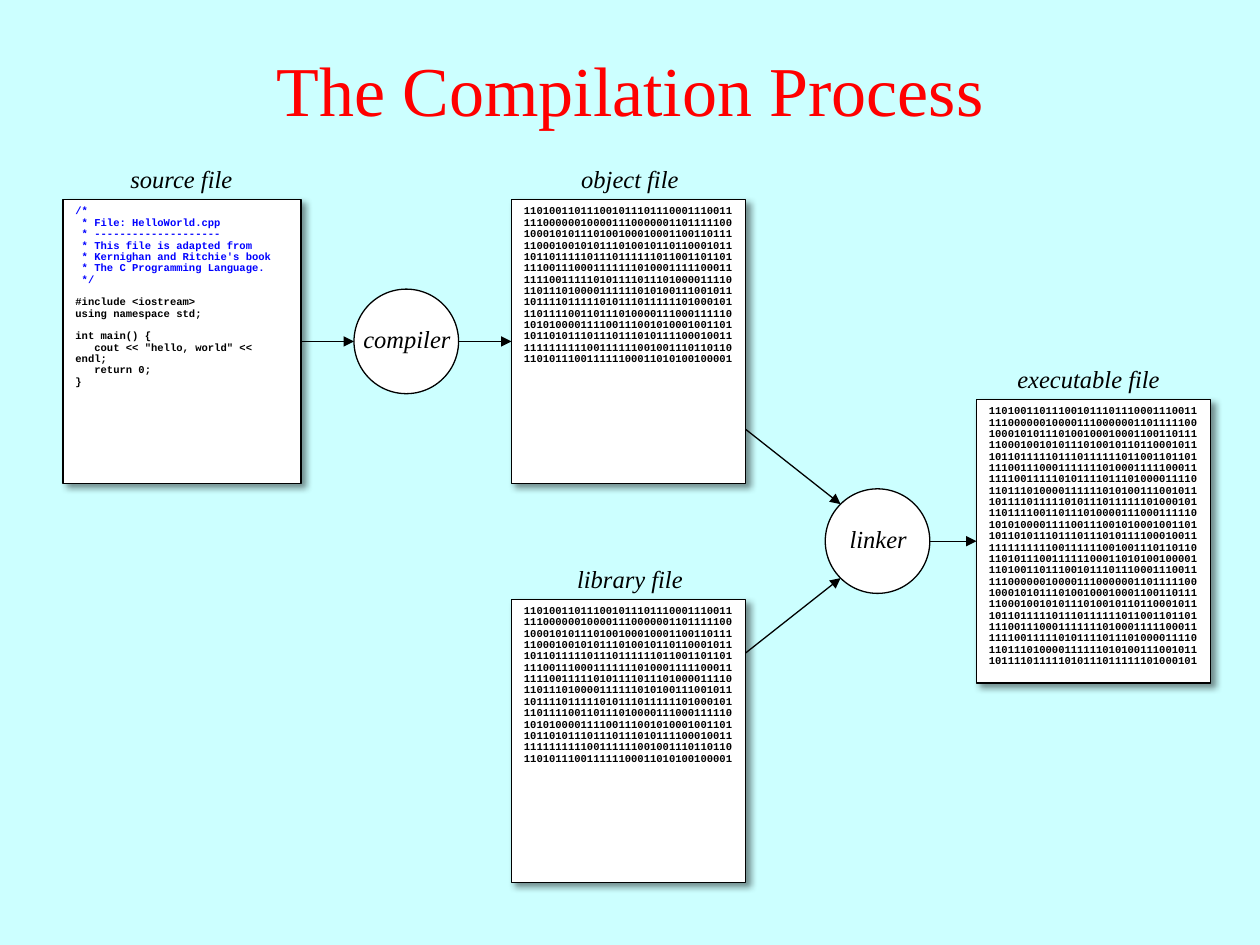
import collections
import math

import lxml.etree
import pptx
import pptx.dml.color
import pptx.enum.shapes
import pptx.enum.text
import pptx.oxml
import pptx.oxml.ns
import pptx.util

COLOURS = {
    "background": "CCFFFF",
    "title": "FF0000",
    "paper": "FFFFFF",
    "ink": "000000",
    "comment": "0000FF",
}
CODE = {"name": "Courier New", "size": pptx.util.Pt(6), "bold": True}
LABEL = {"name": "Times New Roman", "size": pptx.util.Pt(14), "italic": True}
TITLE = {"name": "Times New Roman", "size": pptx.util.Pt(40)}

# The slide is a grid of 10 columns by 7.5 rows, one inch each.
UNIT = pptx.util.Inches(1)
PAGE_STEP = 1.585
PAGE_WIDTH, PAGE_HEIGHT = 1.86, 2.25
CIRCLE = 0.83
LABEL_HEIGHT = 0.34
CODE_LINE = 0.094

SOURCE_CODE = """/*
 * File: HelloWorld.cpp
 * --------------------
 * This file is adapted from
 * Kernighan and Ritchie's book
 * The C Programming Language.
 */

#include <iostream>
using namespace std;

int main() {
   cout << "hello, world" << endl;
   return 0;
}""".split("\n")
OBJECT_CODE = """110100110111001011101110001110011
111000000100001110000001101111100
100010101110100100010001100110111
110001001010111010010110110001011
101101111101110111111011001101101
111001110001111111010001111100011
111100111110101111011101000011110
110111010000111111010100111001011
101111011111010111011111101000101
110111100110111010000111000111110
101010000111100111001010001001101
101101011101110111010111100010011
111111111100111111001001110110110
110101110011111100011010100100001""".split("\n")
EXECUTABLE_CODE = OBJECT_CODE + OBJECT_CODE[:9]

Box = collections.namedtuple("Box", "left top width height")


def emu(*lengths):
    return [round(length * UNIT) for length in lengths]


def colour(name):
    return pptx.dml.color.RGBColor.from_string(COLOURS[name])


def format_font(font, values, colour_name="ink"):
    for attribute, value in values.items():
        setattr(font, attribute, value)
    font.color.rgb = colour(colour_name)


def add_outline(slide, kind, box):
    shape = slide.shapes.add_shape(kind, *emu(*box))
    shape.shadow.inherit = False
    shape.fill.solid()
    shape.fill.fore_color.rgb = colour("paper")
    shape.line.color.rgb = colour("ink")
    shape.line.width = pptx.util.Pt(0.75)
    return shape


def add_text_frame(slide, box):
    frame = slide.shapes.add_textbox(*emu(*box)).text_frame
    frame.word_wrap = True
    frame.auto_size = pptx.enum.text.MSO_AUTO_SIZE.SHAPE_TO_FIT_TEXT
    return frame


def add_label(slide, text, box):
    paragraph = add_text_frame(slide, box).paragraphs[0]
    paragraph.text = text
    paragraph.alignment = pptx.enum.text.PP_ALIGN.CENTER
    format_font(paragraph.runs[0].font, LABEL)


def add_page_shadow(page):
    effects = page._element.spPr.find(pptx.oxml.ns.qn("a:effectLst"))
    effects.append(pptx.oxml.parse_xml(
        f'<a:outerShdw {pptx.oxml.ns.nsdecls("a")} blurRad="50800" dist="38100"'
        ' dir="2700000" algn="tl" rotWithShape="0">'
        f'<a:srgbClr val="{COLOURS["ink"]}"><a:alpha val="43000"/></a:srgbClr>'
        '</a:outerShdw>'))


def add_code(slide, lines, box):
    """Write one paragraph per line; an empty line becomes space before the next."""
    frame = add_text_frame(slide, box._replace(height=0.1 + CODE_LINE * len(lines)))
    paragraph, gap = frame.paragraphs[0], False
    for number, line in enumerate(lines):
        if not line:
            gap = True
            continue
        if number:
            paragraph = frame.add_paragraph()
        paragraph.line_spacing = 0.9
        if gap:
            paragraph.space_before = pptx.util.Pt(6.4)
        gap = False
        run = paragraph.add_run()
        run.text = line
        is_comment = line.startswith(("/*", " *"))
        format_font(run.font, CODE, "comment" if is_comment else "ink")


def add_file(slide, name, lines, box, label_shift=0.0):
    page = add_outline(slide, pptx.enum.shapes.MSO_SHAPE.RECTANGLE, box)
    add_page_shadow(page)
    add_code(slide, lines, box)
    add_label(slide, name, Box(box.left + label_shift, box.top - 0.33, 1.88, LABEL_HEIGHT))
    return page


def add_tool(slide, name, box):
    add_outline(slide, pptx.enum.shapes.MSO_SHAPE.OVAL, box)
    add_label(slide, name, Box(box.left - 0.08, box.top + 0.23, 1, LABEL_HEIGHT))


def add_arrow(slide, start, end):
    arrow = slide.shapes.add_connector(
        pptx.enum.shapes.MSO_CONNECTOR.STRAIGHT, *emu(*start, *end))
    arrow.line.color.rgb = colour("ink")
    arrow.line.width = pptx.util.Pt(0.75)
    qualified = pptx.oxml.ns.qn
    lxml.etree.SubElement(arrow.line._get_or_add_ln(), qualified("a:tailEnd"), type="triangle")
    lxml.etree.SubElement(arrow._element.spPr, qualified("a:effectLst"))
    return arrow


def add_title(slide, text, box):
    title = slide.shapes.title
    title.left, title.top, title.width, title.height = emu(*box)
    title.text_frame.text = text
    title.text_frame.vertical_anchor = pptx.enum.text.MSO_ANCHOR.MIDDLE
    paragraph = title.text_frame.paragraphs[0]
    paragraph.alignment = pptx.enum.text.PP_ALIGN.CENTER
    format_font(paragraph.runs[0].font, TITLE, "title")


def page_box(left, step, width=PAGE_WIDTH):
    return Box(left, step * PAGE_STEP, width, PAGE_HEIGHT)


def middle(step):
    return step * PAGE_STEP + PAGE_HEIGHT / 2


def tool_box(left, step):
    return Box(left, middle(step) - CIRCLE / 2, CIRCLE, CIRCLE)


def add_compilation(slide):
    compiler, linker = tool_box(2.81, 1), tool_box(6.55, 2)
    reach = CIRCLE / 2 * math.cos(math.pi / 4)
    for side in (-1, 1):
        add_arrow(slide, (5.49, middle(2) + side * 1.225),
                  (linker.left + CIRCLE / 2 - reach, middle(2) + side * reach))
    source = add_file(slide, "source file", SOURCE_CODE, page_box(0.5, 1, 1.89))
    object_page = add_file(slide, "object file", OBJECT_CODE, page_box(4.06, 1))
    add_file(slide, "library file", OBJECT_CODE, page_box(4.06, 3))
    executable = add_file(slide, "executable file", EXECUTABLE_CODE, page_box(7.75, 2), -0.05)
    add_tool(slide, "compiler", compiler)
    add_tool(slide, "linker", linker)
    add_arrow(slide, (2.39, middle(1)), (compiler.left, middle(1))).begin_connect(source, 3)
    for tool, step, page in ((compiler, 1, object_page), (linker, 2, executable)):
        start = (tool.left + CIRCLE, middle(step))
        add_arrow(slide, start, (start[0] + 0.4, middle(step))).end_connect(page, 1)


def main():
    presentation = pptx.Presentation()
    presentation.slide_width, presentation.slide_height = emu(10, 7.5)
    slide = presentation.slides.add_slide(presentation.slide_layouts[5])
    slide.background.fill.solid()
    slide.background.fill.fore_color.rgb = colour("background")
    add_title(slide, "The Compilation Process", Box(0, 0.08, 10, 1.25))
    add_compilation(slide)
    presentation.save("out.pptx")


if __name__ == "__main__":
    main()
